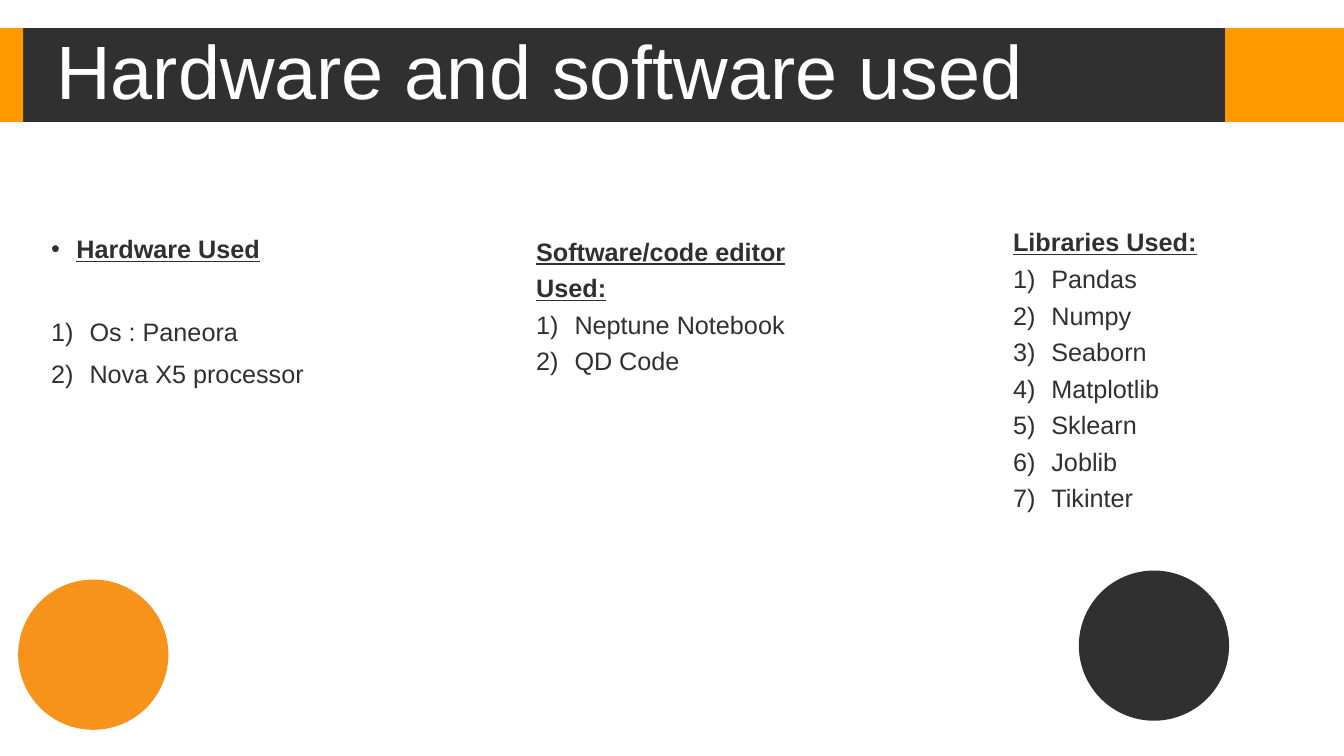
"""Build the slide listing the hardware, software and libraries used."""
from dataclasses import dataclass

from lxml import etree
from pptx import Presentation
from pptx import util as u
from pptx.dml.color import RGBColor
from pptx.enum import shapes, text
from pptx.oxml.ns import qn

EMU_PER_PX = 9144
DARK, ORANGE, WHITE = "303030", "FE9900", "FFFFFF"
FONT = "Arial"


@dataclass(frozen=True)
class Box:
    """A rectangle in px."""
    left: int
    top: int
    width: int
    height: int

    def emu(self) -> list[u.Emu]:
        """Return left, top, width and height in EMU."""
        return [px(n) for n in (self.left, self.top, self.width, self.height)]


@dataclass(frozen=True)
class Block:
    """A filled preset shape."""
    box: Box
    color: str
    kind: shapes.MSO_SHAPE = shapes.MSO_SHAPE.RECTANGLE


@dataclass(frozen=True)
class Column:
    """Underlined heading lines above a numbered list."""
    box: Box
    headings: tuple[str, ...]
    items: tuple[str, ...]
    line_spacing: float = 1.0
    gap: float = 4.5
    first_item_gap: float = 4.5
    bulleted: bool = False


BLOCKS = (
    Block(Box(1215, 28, 118, 93), ORANGE),
    Block(Box(0, 28, 1215, 93), DARK),
    Block(Box(0, 28, 23, 93), ORANGE),
    Block(Box(18, 575, 149, 149), "F7931A", shapes.MSO_SHAPE.OVAL),
    Block(Box(1070, 566, 149, 149), DARK, shapes.MSO_SHAPE.OVAL),
)

COLUMNS = (
    Column(Box(41, 230, 303, 291), ("Hardware Used",),
           ("Os : Paneora", "Nova X5 processor"),
           line_spacing=0.9, gap=10, first_item_gap=40, bulleted=True),
    Column(Box(522, 229, 296, 291), ("Software/code editor", "Used:"),
           ("Neptune Notebook", "QD Code")),
    Column(Box(995, 220, 244, 291), ("Libraries Used:",),
           ("Pandas", "Numpy", "Seaborn", "Matplotlib", "Sklearn", "Joblib",
            "Tikinter")),
)


def px(length: int) -> u.Emu:
    """Convert px to EMU."""
    return u.Emu(length * EMU_PER_PX)


def rgb(color: str) -> RGBColor:
    """Convert a hex string to a colour."""
    return RGBColor.from_string(color)


def draw_block(slide, block: Block) -> None:
    """Draw a flat filled shape."""
    shape = slide.shapes.add_shape(block.kind, *block.box.emu())
    shape.shadow.inherit = False
    shape.fill.solid()
    shape.fill.fore_color.rgb = rgb(block.color)
    shape.line.fill.background()


def add_text_frame(slide, box: Box, lines: tuple[str, ...]):
    """Add a wrapping text box with one paragraph per line."""
    text_frame = slide.shapes.add_textbox(*box.emu()).text_frame
    text_frame.word_wrap = True
    text_frame.text = "\n".join(lines)
    return text_frame


def format_runs(paragraph, size: int, color: str, heading: bool = False) -> None:
    """Set the font of every run in a paragraph."""
    for run in paragraph.runs:
        run.font.name = FONT
        run.font.size = u.Pt(size)
        run.font.color.rgb = rgb(color)
        run.font.bold = run.font.underline = heading


def add_marker(paragraph, indent: int, tag: str, **attributes: str) -> None:
    """Give a paragraph a hanging indent and a bullet or number."""
    properties = paragraph._p.get_or_add_pPr()
    properties.set("marL", str(px(indent)))
    properties.set("indent", str(-px(indent)))
    font = etree.SubElement(properties, qn("a:buFont"))
    font.set("typeface", FONT)
    etree.SubElement(properties, qn(tag), attributes)


def draw_title(slide, title: str) -> None:
    """Write the title over the dark bar."""
    text_frame = add_text_frame(slide, Box(46, 35, 1044, 79), (title,))
    text_frame.vertical_anchor = text.MSO_ANCHOR.MIDDLE
    paragraph = text_frame.paragraphs[0]
    paragraph.line_spacing = 0.9
    format_runs(paragraph, 54, WHITE)


def draw_column(slide, column: Column) -> None:
    """Write a heading and its numbered list."""
    text_frame = add_text_frame(slide, column.box, column.headings + column.items)
    heading_count = len(column.headings)
    for index, paragraph in enumerate(text_frame.paragraphs):
        heading = index < heading_count
        gap = column.first_item_gap if index == heading_count else column.gap
        paragraph.line_spacing = column.line_spacing
        paragraph.space_before = u.Pt(gap)
        format_runs(paragraph, 18, DARK, heading)
        if not heading:
            add_marker(paragraph, 38, "a:buAutoNum", type="arabicParenR")
        elif column.bulleted:
            add_marker(paragraph, 25, "a:buChar", char="•")


def main() -> None:
    """Build and save the presentation."""
    presentation = Presentation()
    presentation.slide_width, presentation.slide_height = px(1333), px(750)
    slide = presentation.slides.add_slide(presentation.slide_layouts[6])
    for block in BLOCKS:
        draw_block(slide, block)
    draw_title(slide, "Hardware and software used")
    for column in COLUMNS:
        draw_column(slide, column)
    presentation.save("out.pptx")


if __name__ == "__main__":
    main()
